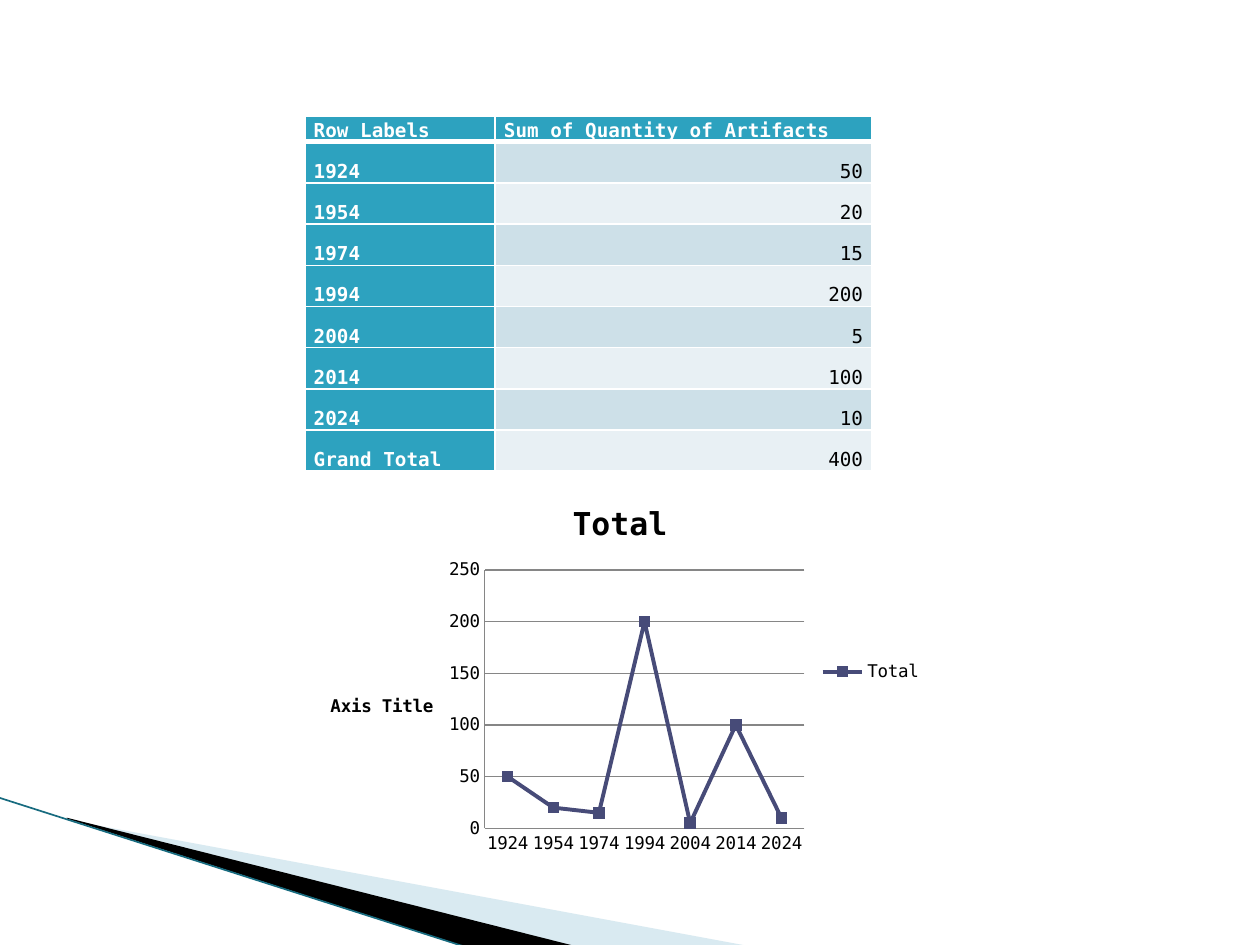
import lxml.etree
import pptx
import pptx.chart.data
import pptx.dml.color
import pptx.enum.chart
import pptx.enum.shapes
import pptx.enum.text
import pptx.oxml.ns
import pptx.util

RGBColor = pptx.dml.color.RGBColor
WHITE = RGBColor(0xFF, 0xFF, 0xFF)
BLACK = RGBColor(0, 0, 0)
TEAL = RGBColor(0x2D, 0xA2, 0xBF)
DARK_TEAL = RGBColor(0x17, 0x6B, 0x7F)
PALE_BLUE = RGBColor(0xA0, 0xCB, 0xDC)
BANDS = [RGBColor(0xE8, 0xF0, 0xF4), RGBColor(0xCD, 0xE0, 0xE8)]
INDIGO = RGBColor(0x47, 0x4B, 0x78)
GREY = RGBColor(0x86, 0x86, 0x86)
FONT = "DejaVu Sans Mono"
qn = pptx.oxml.ns.qn

deck = pptx.Presentation()
deck.slide_width = pptx.util.Inches(10)
deck.slide_height = pptx.util.Inches(7.5)
slide = deck.slides.add_slide(deck.slide_layouts[6])


def across(percent):
    return round(deck.slide_width * percent / 100)


def down(percent):
    return round(deck.slide_height * percent / 100)


wedges = [
    ([(5.5, 86.8), (59.5, 100.13), (45.6, 100.13), (5.5, 86.67)], PALE_BLUE, 40),
    ([(5.3, 86.53), (45.7, 100.13), (37.2, 100.27), (5.4, 86.67)], BLACK, 100),
]
for corners, color, opacity in wedges:
    points = [(across(x), down(y)) for x, y in corners]
    outline = slide.shapes.build_freeform(*points[0])
    outline.add_line_segments(points[1:], close=True)
    wedge = outline.convert_to_shape()
    wedge.shadow.inherit = False
    wedge.line.fill.background()
    wedge.fill.solid()
    wedge.fill.fore_color.rgb = color
    tint = wedge.fill._xPr.find(".//" + qn("a:srgbClr"))
    lxml.etree.SubElement(tint, qn("a:alpha"), val=str(opacity * 1000))

edge = slide.shapes.add_connector(
    pptx.enum.shapes.MSO_CONNECTOR.STRAIGHT,
    across(-0.1), down(84.4), across(37.1), down(100.27))
edge.line.color.rgb = DARK_TEAL
edge.line.width = pptx.util.Pt(0.95)
lxml.etree.SubElement(edge._element.spPr, qn("a:effectLst"))

years = ["1924", "1954", "1974", "1994", "2004", "2014", "2024"]
quantities = [50, 20, 15, 200, 5, 100, 10]
rows = [("Row Labels", "Sum of Quantity of Artifacts")]
rows += zip(years, map(str, quantities))
rows.append(("Grand Total", str(sum(quantities))))

artifacts = slide.shapes.add_table(
    len(rows), 2, across(24.2), down(12.27), across(45), down(37.73)).table
artifacts.columns[0].width = across(15.1)
artifacts.columns[1].width = across(29.9)
for r, texts in enumerate(rows):
    artifacts.rows[r].height = down(4.36 if r else 2.4)
    for c, text in enumerate(texts):
        heading = r == 0 or c == 0
        cell = artifacts.cell(r, c)
        cell.margin_left = cell.margin_right = pptx.util.Inches(0.07)
        cell.margin_top = cell.margin_bottom = 0
        cell.vertical_anchor = pptx.enum.text.MSO_ANCHOR.BOTTOM
        for side in "LRTB":
            thick = (r, side) in [(0, "B"), (1, "T")]
            border = lxml.etree.SubElement(
                cell._tc.tcPr, qn("a:ln" + side), w=str(pptx.util.Pt(3 if thick else 1)))
            paint = lxml.etree.SubElement(border, qn("a:solidFill"))
            lxml.etree.SubElement(paint, qn("a:srgbClr"), val=str(WHITE))
        cell.fill.solid()
        cell.fill.fore_color.rgb = TEAL if heading else BANDS[r % 2]
        paragraph = cell.text_frame.paragraphs[0]
        paragraph.line_spacing = 1.15
        if not heading:
            paragraph.alignment = pptx.enum.text.PP_ALIGN.RIGHT
        run = paragraph.add_run()
        run.text = text
        run.font.name = FONT
        run.font.size = pptx.util.Pt(11)
        run.font.bold = heading
        run.font.color.rgb = WHITE if heading else BLACK

totals = pptx.chart.data.CategoryChartData()
totals.categories = years
totals.add_series("Total", quantities)
trend = slide.shapes.add_chart(
    pptx.enum.chart.XL_CHART_TYPE.LINE_MARKERS_STACKED,
    across(24.2), down(51.07), across(50), down(40), totals).chart
trend.font.name = FONT
trend.font.size = pptx.util.Pt(10)
trend.font.color.rgb = BLACK
trend.has_legend = True
trend.legend.position = pptx.enum.chart.XL_LEGEND_POSITION.RIGHT
trend.legend.include_in_layout = False
trend.has_title = True
trend.value_axis.has_title = True
titles = [
    (trend.chart_title.text_frame, "Total", 18),
    (trend.value_axis.axis_title.text_frame, "Axis Title", 10),
]
for frame, text, size in titles:
    frame._txBody.bodyPr.set("rot", "0")
    frame._txBody.bodyPr.set("vert", "horz")
    run = frame.paragraphs[0].add_run()
    run.text = text
    run.font.name = FONT
    run.font.size = pptx.util.Pt(size)
    run.font.bold = True
    run.font.color.rgb = BLACK

for axis in (trend.category_axis, trend.value_axis):
    axis.major_tick_mark = pptx.enum.chart.XL_TICK_MARK.NONE
    axis.minor_tick_mark = pptx.enum.chart.XL_TICK_MARK.NONE
    axis.format.line.color.rgb = GREY
    axis.format.line.width = pptx.util.Pt(0.75)
trend.value_axis.minimum_scale = 0
trend.value_axis.maximum_scale = 250
trend.value_axis.major_unit = 50
trend.value_axis.has_major_gridlines = True
trend.value_axis.major_gridlines.format.line.color.rgb = GREY
trend.value_axis.major_gridlines.format.line.width = pptx.util.Pt(0.75)

trend.plots[0].vary_by_categories = False
total = trend.plots[0].series[0]
total.smooth = False
total.format.line.color.rgb = INDIGO
total.format.line.width = pptx.util.Pt(2.25)
total.marker.style = pptx.enum.chart.XL_MARKER_STYLE.SQUARE
total.marker.size = 6
total.marker.format.fill.solid()
total.marker.format.fill.fore_color.rgb = INDIGO
total.marker.format.line.color.rgb = INDIGO

deck.save("out.pptx")
